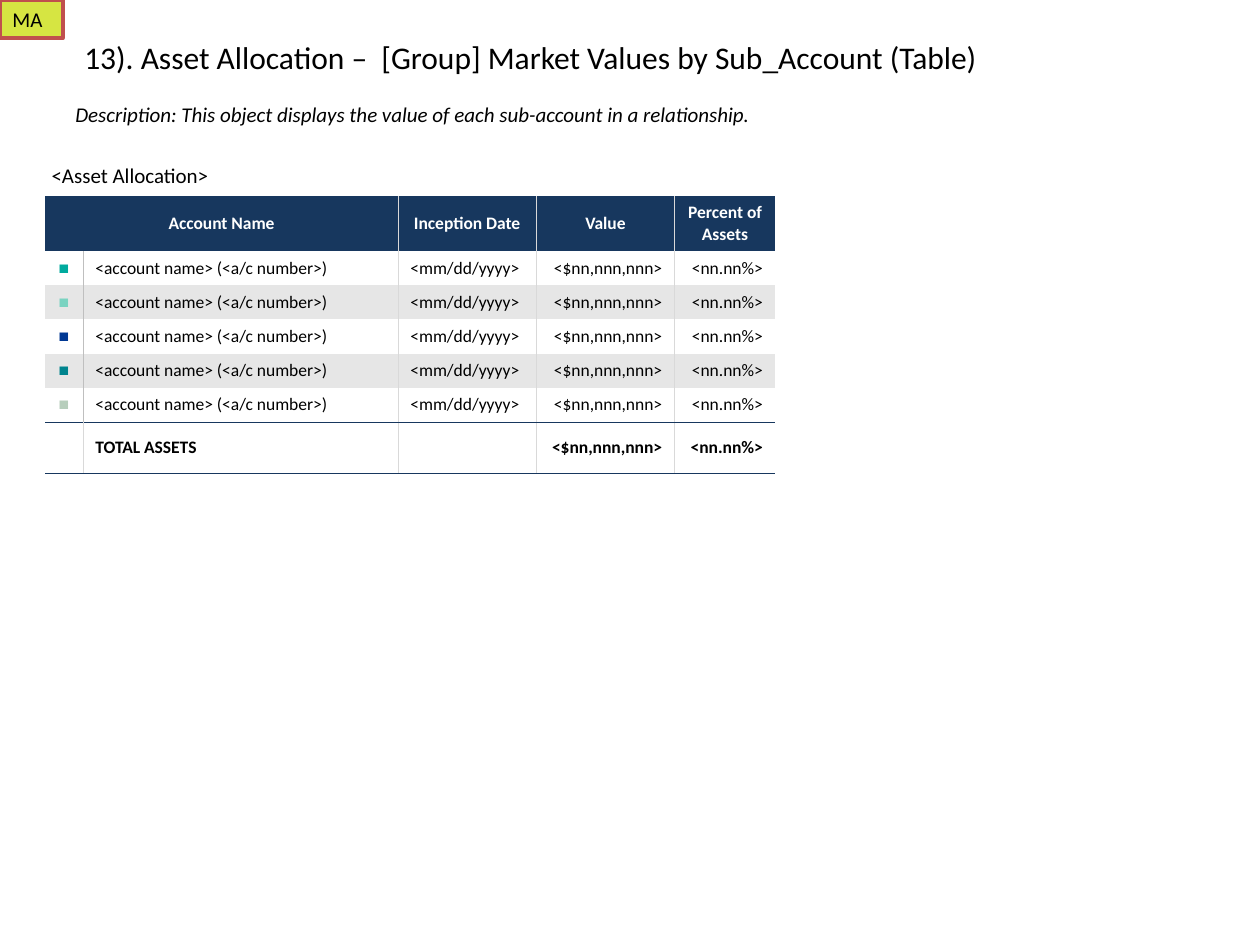
from lxml import etree
from pptx import Presentation
from pptx.dml.color import RGBColor
from pptx.enum import shapes, text
from pptx.oxml.ns import qn
from pptx.util import Cm, Pt

COLORS = {
    "black": "000000", "white": "FFFFFF", "navy": "17375E", "band": "E6E6E6",
    "rule": "D9D9D9", "marker rule": "BFBFBF", "tag": "D6E542", "tag line": "C0504D",
}
TITLE = "13). Asset Allocation –  [Group] Market Values by Sub_Account (Table)"
DESCRIPTION = ("Description: This object displays the value of each sub-account "
               "in a relationship.")
TAG = "MA"
CAPTION = "<Asset Allocation>"
HEADINGS = ["Account Name", "", "Inception Date", "Value", "Percent of Assets"]
ACCOUNT = ["■", "<account name> (<a/c number>)", "<mm/dd/yyyy>", "<$nn,nnn,nnn>", "<nn.nn%>"]
MARKERS = ["00AA9E", "7AD3C1", "003893", "00848E", "B7CEBC"]
TOTAL = ["", "TOTAL ASSETS", "", "<$nn,nnn,nnn>", "<nn.nn%>"]

COLUMN_WIDTHS = [0.76, 6.35, 2.79, 2.79, 2.03]
ROW_HEIGHTS = [0.77, 1.11] + [0.69] * len(MARKERS) + [1.03]
LEFT, CENTER, RIGHT = text.PP_ALIGN.LEFT, text.PP_ALIGN.CENTER, text.PP_ALIGN.RIGHT
ALIGNMENTS = [CENTER, LEFT, LEFT, RIGHT, RIGHT]
MIDDLE = text.MSO_ANCHOR.MIDDLE


def rgb(color):
    return RGBColor.from_string(color)


def write(frame, words, size=12, color=COLORS["black"], font="Calibri",
          align=LEFT, bold=False, italic=False):
    paragraph = frame.paragraphs[0]
    paragraph.alignment = align
    run = paragraph.add_run()
    run.text = words
    run.font.name, run.font.size = font, Pt(size)
    run.font.bold, run.font.italic = bold, italic
    run.font.color.rgb = rgb(color)


def add_line_of_text(slide, box, words, wrap=True, anchor=text.MSO_ANCHOR.TOP, **style):
    frame = slide.shapes.add_textbox(*map(Cm, box)).text_frame
    frame.word_wrap, frame.vertical_anchor = wrap, anchor
    write(frame, words, **style)


def set_borders(cell, **colors):
    """Draw the sides named L, R, T or B; leave the other sides open."""
    properties = cell._tc.get_or_add_tcPr()
    for side in "LRTB":
        line = etree.SubElement(properties, qn(f"a:ln{side}"), w=str(Pt(0.23)))
        color = colors.get(side)
        if color:
            fill = etree.SubElement(line, qn("a:solidFill"))
            etree.SubElement(fill, qn("a:srgbClr"), val=color)
        else:
            etree.SubElement(line, qn("a:noFill"))


def fill_row(table, row, words, fill, markers=None, top=None, bottom=None,
             align=ALIGNMENTS, **style):
    last = len(words) - 1
    for column, entry in enumerate(words):
        cell = table.cell(row, column)
        # The rule beside the coloured markers is darker than the others.
        rules = [COLORS["marker rule" if markers and edge == 1 else "rule"]
                 if 0 < edge <= last else None for edge in (column, column + 1)]
        set_borders(cell, L=rules[0], R=rules[1], T=top, B=bottom)
        cell.fill.solid()
        cell.fill.fore_color.rgb = rgb(fill)
        cell.vertical_anchor = MIDDLE
        if entry:
            look = dict(style, size=10, align=align[column])
            if markers and column == 0:
                look.update(color=markers, font="Arial")
            write(cell.text_frame, entry, **look)


def add_asset_table(slide):
    table = slide.shapes.add_table(
        len(ROW_HEIGHTS), len(COLUMN_WIDTHS), Cm(0.91), Cm(3.18),
        Cm(sum(COLUMN_WIDTHS)), Cm(sum(ROW_HEIGHTS))).table
    table.first_row = table.horz_banding = False
    for column, width in zip(table.columns, COLUMN_WIDTHS):
        column.width = Cm(width)
    for row, height in zip(table.rows, ROW_HEIGHTS):
        row.height = Cm(height)

    caption = table.cell(0, 0)
    for column in range(len(COLUMN_WIDTHS)):
        cell = table.cell(0, column)
        set_borders(cell)
        cell.fill.background()
    caption.merge(table.cell(0, len(COLUMN_WIDTHS) - 1))
    caption.vertical_anchor = text.MSO_ANCHOR.BOTTOM
    caption.margin_left = Cm(0.13)
    write(caption.text_frame, CAPTION)

    fill_row(table, 1, HEADINGS, COLORS["navy"], align=[CENTER] * len(HEADINGS),
             color=COLORS["white"], bold=True)
    table.cell(1, 0).merge(table.cell(1, 1))
    for index, marker in enumerate(MARKERS):
        is_last = index == len(MARKERS) - 1
        fill_row(table, index + 2, ACCOUNT, COLORS["band" if index % 2 else "white"],
                 markers=marker, bottom=COLORS["navy"] if is_last else None)
    fill_row(table, len(ROW_HEIGHTS) - 1, TOTAL, COLORS["white"],
             top=COLORS["navy"], bottom=COLORS["navy"], bold=True)


def add_tag(slide):
    tag = slide.shapes.add_shape(shapes.MSO_SHAPE.RECTANGLE, 0, 0, Cm(1.27), Cm(0.77))
    tag.shadow.inherit = False
    tag.fill.solid()
    tag.fill.fore_color.rgb = rgb(COLORS["tag"])
    tag.line.color.rgb = rgb(COLORS["tag line"])
    tag.line.width = Pt(2)
    tag.text_frame.vertical_anchor = text.MSO_ANCHOR.TOP
    write(tag.text_frame, TAG)


def main():
    deck = Presentation()
    deck.slide_width, deck.slide_height = Cm(25.4), Cm(19.05)
    slide = deck.slides.add_slide(deck.slide_layouts[6])
    add_line_of_text(slide, (1.45, 0.64, 18.64, 1.03), TITLE, wrap=False, size=18)
    add_asset_table(slide)
    add_line_of_text(slide, (1.27, 1.91, 20.32, 0.77), DESCRIPTION, anchor=MIDDLE, italic=True)
    add_tag(slide)
    deck.save("out.pptx")


if __name__ == "__main__":
    main()
